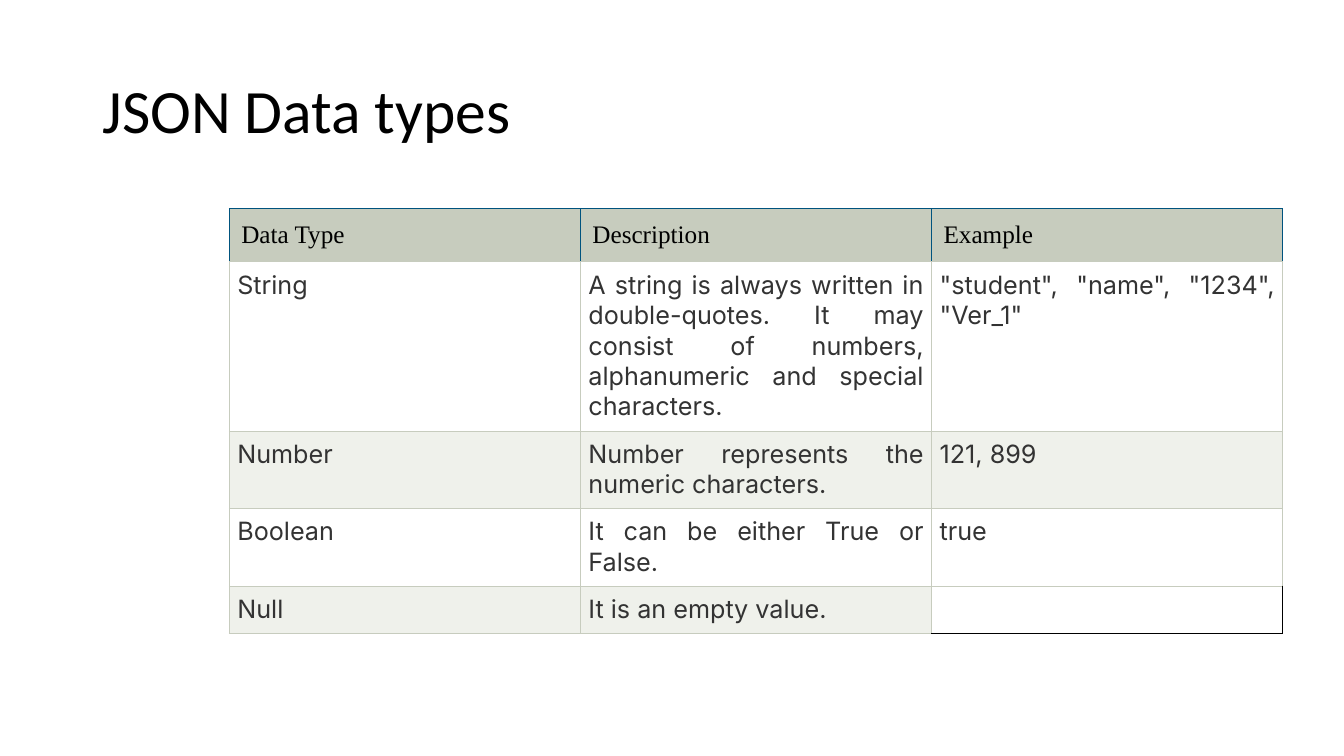
from lxml.etree import SubElement
from pptx import Presentation
from pptx.dml.color import RGBColor
from pptx.enum.text import MSO_ANCHOR, PP_ALIGN
from pptx.oxml.ns import qn
from pptx.util import Cm, Pt

COLORS = {
    "black": "000000",
    "body": "333333",
    "sage": "C7CCBE",
    "band": "EFF1EB",
    "white": "FFFFFF",
    "blue": "00537E",
}
DATA_TYPES = [
    ("Data Type", "Description", "Example"),
    ("String", "A string is always written in double-quotes. It may consist of numbers, "
     "alphanumeric and special characters.", '"student", "name", "1234", "Ver_1"'),
    ("Number", "Number represents the numeric characters.", "121, 899"),
    ("Boolean", "It can be either True or False.", "true"),
    ("Null", "It is an empty value.", ""),
]
ROW_HEIGHTS = [1.34, 4.26, 1.95, 1.96, 1.19]
COLUMN_WIDTH = 8.85


def add_text(paragraph, text, font, size, color):
    run = paragraph.add_run()
    run.text = text
    run.font.name = font
    run.font.size = Pt(size)
    run.font.bold = False
    run.font.color.rgb = RGBColor.from_string(COLORS[color])


def set_borders(cell, left, right, top, bottom):
    properties = cell._tc.get_or_add_tcPr()
    for side, color in zip("LRTB", (left, right, top, bottom)):
        line = SubElement(properties, qn(f"a:ln{side}"), w=str(Pt(0.75)))
        fill = SubElement(line, qn("a:solidFill"))
        SubElement(fill, qn("a:srgbClr"), val=COLORS[color])


presentation = Presentation()
presentation.slide_width = Cm(33.87)
presentation.slide_height = Cm(19.05)
slide = presentation.slides.add_slide(presentation.slide_layouts[5])

title = slide.shapes.title
title.left, title.top, title.width, title.height = Cm(2.33), Cm(1.01), Cm(29.21), Cm(3.68)
title.text_frame.vertical_anchor = MSO_ANCHOR.MIDDLE
heading = title.text_frame.paragraphs[0]
heading.alignment = PP_ALIGN.LEFT
heading.line_spacing = 0.9
add_text(heading, "JSON Data types", "Calibri", 44, "black")

type_table = slide.shapes.add_table(
    len(DATA_TYPES), 3, Cm(5.78), Cm(5.26), Cm(3 * COLUMN_WIDTH), Cm(sum(ROW_HEIGHTS))
).table
type_table.first_row = False
type_table.horz_banding = False
for column in type_table.columns:
    column.width = Cm(COLUMN_WIDTH)

for row, (entries, height) in enumerate(zip(DATA_TYPES, ROW_HEIGHTS)):
    type_table.rows[row].height = Cm(height)
    is_header = row == 0
    for column, entry in enumerate(entries):
        cell = type_table.cell(row, column)
        margin = Cm(0.3 if is_header else 0.2)
        cell.margin_left = cell.margin_right = margin
        cell.margin_top = cell.margin_bottom = margin
        paragraph = cell.text_frame.paragraphs[0]
        if not entry:
            paragraph.font.size = Pt(18)
            set_borders(cell, "sage", "black", "sage", "black")
            cell.fill.background()
            continue
        if is_header:
            set_borders(cell, "blue", "blue", "blue", "sage")
            add_text(paragraph, entry, "Times New Roman", 18, "black")
            fill_color = "sage"
        else:
            set_borders(cell, "sage", "sage", "sage", "sage")
            paragraph.alignment = PP_ALIGN.JUSTIFY
            add_text(paragraph, entry, "Inter", 18, "body")
            fill_color = "white" if row % 2 else "band"
        cell.fill.solid()
        cell.fill.fore_color.rgb = RGBColor.from_string(COLORS[fill_color])

presentation.save("out.pptx")
